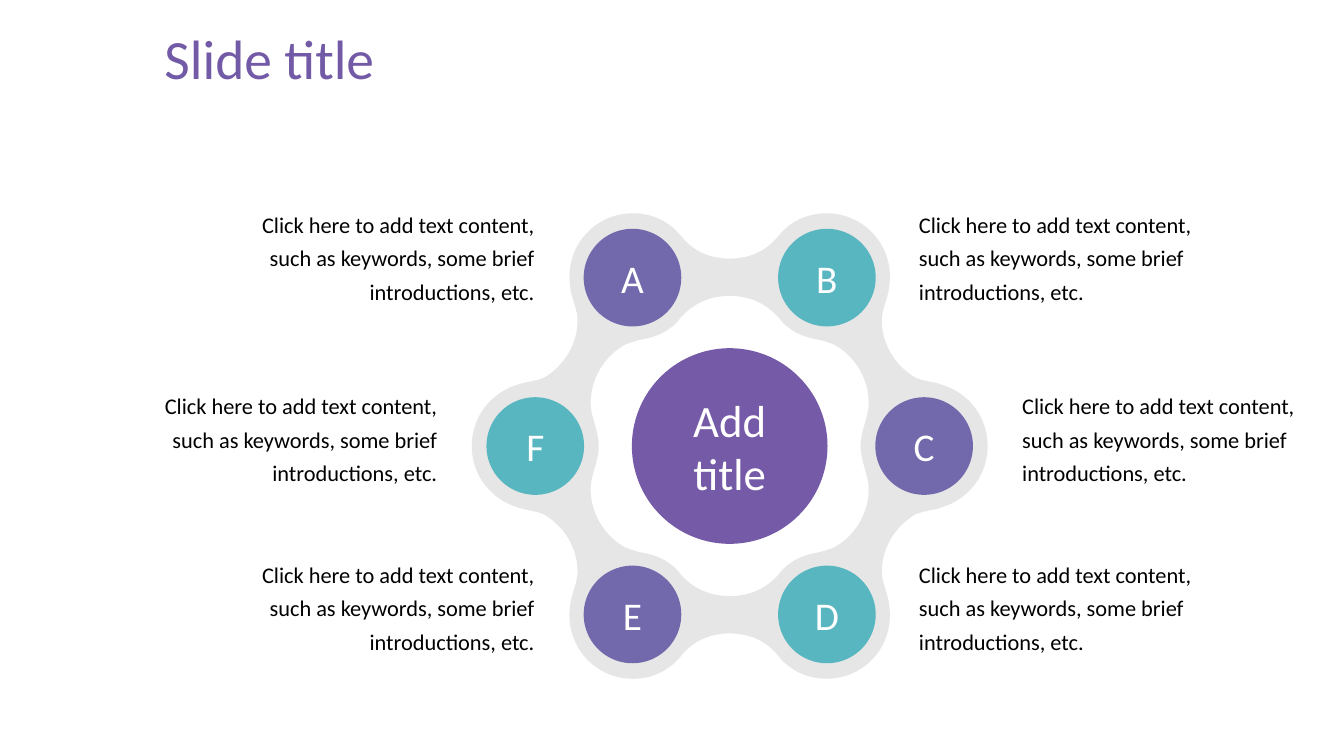
from math import cos, radians, sin

from lxml import etree
from pptx import Presentation
from pptx.dml.color import RGBColor
from pptx.enum.shapes import MSO_SHAPE
from pptx.enum.text import MSO_ANCHOR, MSO_AUTO_SIZE, PP_ALIGN
from pptx.oxml.ns import qn
from pptx.util import Cm, Pt

ELLIPSE = MSO_SHAPE.OVAL
MIDDLE, TOP = MSO_ANCHOR.MIDDLE, MSO_ANCHOR.TOP
LEFT, CENTER, RIGHT = PP_ALIGN.LEFT, PP_ALIGN.CENTER, PP_ALIGN.RIGHT
FIT_SHAPE = MSO_AUTO_SIZE.SHAPE_TO_FIT_TEXT

FONT = "Calibri"
COLORS = {
    "title": "725AA6",
    "center": "755AA7",
    "purple": "7269AC",
    "teal": "58B6C0",
    "ring": "D9D9D9",
    "white": "FFFFFF",
    "black": "000000",
}
CAPTION = "Click here to add text content, such as keywords, some brief introductions, etc."

# Each node: letter, angle, colour, caption gap and caption rise in centimetres.
NODES = [
    ("A", -120, "purple", 2.22, 1.98),
    ("B", -60, "teal", 2.07, 1.98),
    ("C", 0, "purple", 2.22, 1.65),
    ("D", 60, "teal", 2.07, 1.64),
    ("E", 120, "purple", 2.22, 1.64),
    ("F", 180, "teal", 2.22, 1.65),
]
OUTLINE_HALF_WIDTH = 256
OUTER_QUARTER = [
    (0, -186), (19, -186), (36, -193), (48, -208), (60, -223), (77, -231), (96, -231),
    (131, -231), (159, -203), (159, -168), (159, -160), (158, -154), (156, -147),
    (154, -140), (151, -133), (151, -125), (151, -101), (164, -80), (184, -68),
    (193, -64), (202, -64), (210, -61), (237, -53), (256, -29), (256, 0),
]
INNER_QUARTER = [
    (0, -149), (19, -149), (36, -142), (49, -127), (54, -120), (60, -116), (67, -112),
    (73, -109), (80, -107), (86, -106), (92, -105), (97, -103), (103, -101),
    (124, -90), (138, -67), (138, -43), (138, -35), (136, -29), (134, -22),
    (132, -15), (130, -8), (130, 0),
]


def rgb(name):
    """Return the named colour."""
    return RGBColor.from_string(COLORS[name])


def write_text(shape, text, size, color="black", align=LEFT, anchor=TOP, spacing=None):
    """Fill a shape with text, one paragraph per line."""
    frame = shape.text_frame
    frame.word_wrap = True
    frame.vertical_anchor = anchor
    frame.text = text
    for paragraph in frame.paragraphs:
        paragraph.alignment = align
        paragraph.line_spacing = spacing
        font = paragraph.runs[0].font
        font.name, font.size = FONT, Pt(size)
        font.color.rgb = rgb(color)


def style_shape(shape, color):
    """Give a shape a plain fill without line or shadow."""
    shape.shadow.inherit = False
    shape.fill.solid()
    shape.fill.fore_color.rgb = rgb(color)
    shape.line.fill.background()


def add_title(slide, left, top, width, height):
    """Place and format the title placeholder."""
    title = slide.shapes.title
    title.left, title.top, title.width, title.height = left, top, width, height
    write_text(title, "Slide title", 39.6, color="title", anchor=MIDDLE, spacing=0.9)


def add_circle(slide, center_x, center_y, diameter, text, size, color):
    """Add a labelled circle around a centre point."""
    circle = slide.shapes.add_shape(
        ELLIPSE, center_x - diameter // 2, center_y - diameter // 2, diameter, diameter)
    style_shape(circle, color)
    write_text(circle, text, size, color="white", align=CENTER, anchor=MIDDLE)


def mirror_quarter(quarter):
    """Extend a quarter outline to a closed one by two reflections."""
    half = quarter + [(x, -y) for x, y in reversed(quarter[:-1])]
    return half + [(-x, y) for x, y in reversed(half[:-1])]


def curve_segments(shape):
    """Turn each three line segments into one Bezier curve."""
    lines = list(shape._element.iter(qn("a:lnTo")))
    for index in range(0, len(lines), 3):
        first, *others = lines[index:index + 3]
        for line in others:
            first.append(line[0])
            line.getparent().remove(line)
        first.tag = qn("a:cubicBezTo")


def add_ring(slide, center_x, center_y, width):
    """Draw the translucent wavy ring behind the circles."""
    unit = width / (2 * OUTLINE_HALF_WIDTH)
    outer, inner = [
        [(round(center_x + x * unit), round(center_y + y * unit))
         for x, y in mirror_quarter(quarter)]
        for quarter in (OUTER_QUARTER, INNER_QUARTER)
    ]
    builder = slide.shapes.build_freeform(*outer[0])
    builder.add_line_segments(outer[1:], close=True)
    builder.move_to(*inner[0])
    builder.add_line_segments(inner[1:], close=True)
    ring = builder.convert_to_shape()
    curve_segments(ring)
    style_shape(ring, "ring")
    fill_color = ring._element.spPr.find(qn("a:solidFill"))[0]
    etree.SubElement(fill_color, qn("a:alpha"), val="65000")


def add_caption(slide, node_x, node_y, gap, rise, on_left):
    """Add the text beside a node, on its outer side."""
    width = Cm(7.37 if on_left else 7.47)
    left = node_x - gap - width if on_left else node_x + gap
    caption = slide.shapes.add_textbox(left, node_y - rise, width, Cm(2.77))
    write_text(caption, CAPTION, 16, align=RIGHT if on_left else LEFT, spacing=1.25)
    caption.text_frame.auto_size = FIT_SHAPE


def add_diagram(slide, left, top, width, height):
    """Place the ring, its six nodes with captions and the centre circle."""
    center_x, center_y = left + width // 2, top + height // 2
    radius = Cm(4.9)
    add_ring(slide, center_x, center_y, width)
    for letter, angle, color, gap, rise in NODES:
        node_x = center_x + round(radius * cos(radians(angle)))
        node_y = center_y + round(radius * sin(radians(angle)))
        add_circle(slide, node_x, node_y, Cm(2.46), letter, 28, color)
        add_caption(slide, node_x, node_y, Cm(gap), Cm(rise), node_x < center_x)
    add_circle(slide, center_x, center_y, Cm(4.93), "Add\ntitle", 32, "center")


def main():
    """Build and save the presentation."""
    presentation = Presentation()
    presentation.slide_width, presentation.slide_height = Cm(33.87), Cm(19.05)
    slide = presentation.slides.add_slide(presentation.slide_layouts[5])
    add_title(slide, Cm(3.89), Cm(0.81), Cm(18.39), Cm(1.5))
    add_diagram(slide, Cm(11.89), Cm(5.38), Cm(13), Cm(11.72))
    presentation.save("out.pptx")


if __name__ == "__main__":
    main()
